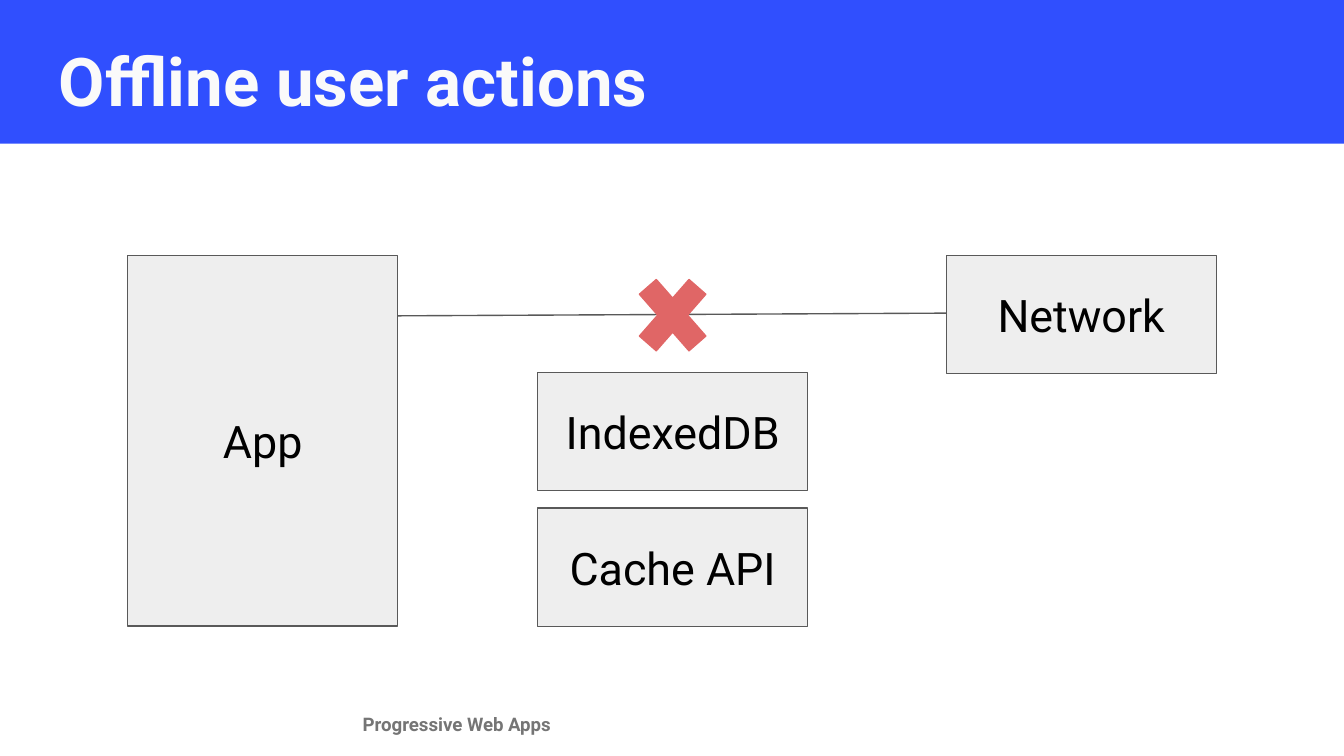
from lxml.etree import SubElement
from pptx import Presentation
from pptx.dml.color import RGBColor
from pptx.enum.shapes import MSO_CONNECTOR, MSO_SHAPE
from pptx.enum.text import MSO_ANCHOR, PP_ALIGN
from pptx.oxml.ns import qn
from pptx.util import Inches, Pt

SLIDE_WIDTH = 10
BOX_WIDTH, BOX_HEIGHT = 2.01, 0.88
BOX_TOP, BOX_BOTTOM = 1.9, 4.66
APP_LEFT, STORAGE_LEFT, NETWORK_LEFT = 0.95, 4, 7.04
OUTLINE = "595959"


def color(value):
    """Turn a hex string into a colour."""
    return RGBColor.from_string(value)


def write_text(shape, text, size, font_color, bold=False,
               anchor=MSO_ANCHOR.TOP, align=PP_ALIGN.LEFT):
    """Put one formatted paragraph in a shape."""
    frame = shape.text_frame
    frame_format = {"word_wrap": True, "vertical_anchor": anchor}
    for side in ("left", "top", "right", "bottom"):
        frame_format[f"margin_{side}"] = Inches(0.1)
    for name, value in frame_format.items():
        setattr(frame, name, value)
    paragraph = frame.paragraphs[0]
    paragraph.alignment = align
    run = paragraph.add_run()
    run.text = text
    for name, value in {"name": "Roboto", "size": Pt(size), "bold": bold}.items():
        setattr(run.font, name, value)
    run.font.color.rgb = color(font_color)


def add_text(slide, bounds, text, size, font_color):
    """Add a bold text box."""
    box = slide.shapes.add_textbox(*map(Inches, bounds))
    write_text(box, text, size, font_color, bold=True)


def add_filled_shape(slide, kind, bounds, fill, line=None):
    """Add a preset shape with a flat fill and an optional outline."""
    shape = slide.shapes.add_shape(kind, *map(Inches, bounds))
    shape.shadow.inherit = False
    shape.fill.solid()
    shape.fill.fore_color.rgb = color(fill)
    if line:
        shape.line.color.rgb = color(line)
        shape.line.width = Pt(0.75)
    else:
        shape.line.fill.background()
    return shape


def add_component(slide, text, left, top, height=BOX_HEIGHT):
    """Add a labelled box of the diagram."""
    bounds = (left, top, BOX_WIDTH, height)
    shape = add_filled_shape(slide, MSO_SHAPE.RECTANGLE, bounds, "EEEEEE", OUTLINE)
    write_text(shape, text, 24, "000000",
               anchor=MSO_ANCHOR.MIDDLE, align=PP_ALIGN.CENTER)


def add_link(slide, start, end):
    """Add a plain connecting line."""
    link = slide.shapes.add_connector(
        MSO_CONNECTOR.STRAIGHT, *map(Inches, (*start, *end)))
    link.line.color.rgb = color(OUTLINE)
    link.line.width = Pt(0.75)
    SubElement(link._element.spPr, qn("a:effectLst"))


def main():
    """Build and save the slide."""
    presentation = Presentation()
    presentation.slide_width = Inches(SLIDE_WIDTH)
    presentation.slide_height = Inches(SLIDE_WIDTH * 9 / 16)
    slide = presentation.slides.add_slide(presentation.slide_layouts[6])

    add_text(slide, (2.6, 5.22, 5.79, 0.25), "Progressive Web Apps", 10, "757575")
    add_filled_shape(slide, MSO_SHAPE.RECTANGLE, (-0.01, -0.04, 10.01, 1.11), "304FFE")
    add_text(slide, (0.34, 0.19, 9.32, 0.63), "Offline user actions", 36, "FAFAFA")

    add_component(slide, "App", APP_LEFT, BOX_TOP, BOX_BOTTOM - BOX_TOP)
    add_component(slide, "IndexedDB", STORAGE_LEFT, 2.77)
    add_component(slide, "Cache API", STORAGE_LEFT, BOX_BOTTOM - BOX_HEIGHT)
    add_component(slide, "Network", NETWORK_LEFT, BOX_TOP)

    add_link(slide, (NETWORK_LEFT, 2.33), (APP_LEFT + BOX_WIDTH, 2.35))
    cross = add_filled_shape(
        slide, MSO_SHAPE.MATH_MULTIPLY, (4.65, 1.94, 0.71, 0.81), "E06666", "E06666")
    cross.adjustments[0] = 0.235

    presentation.save("out.pptx")


if __name__ == "__main__":
    main()
